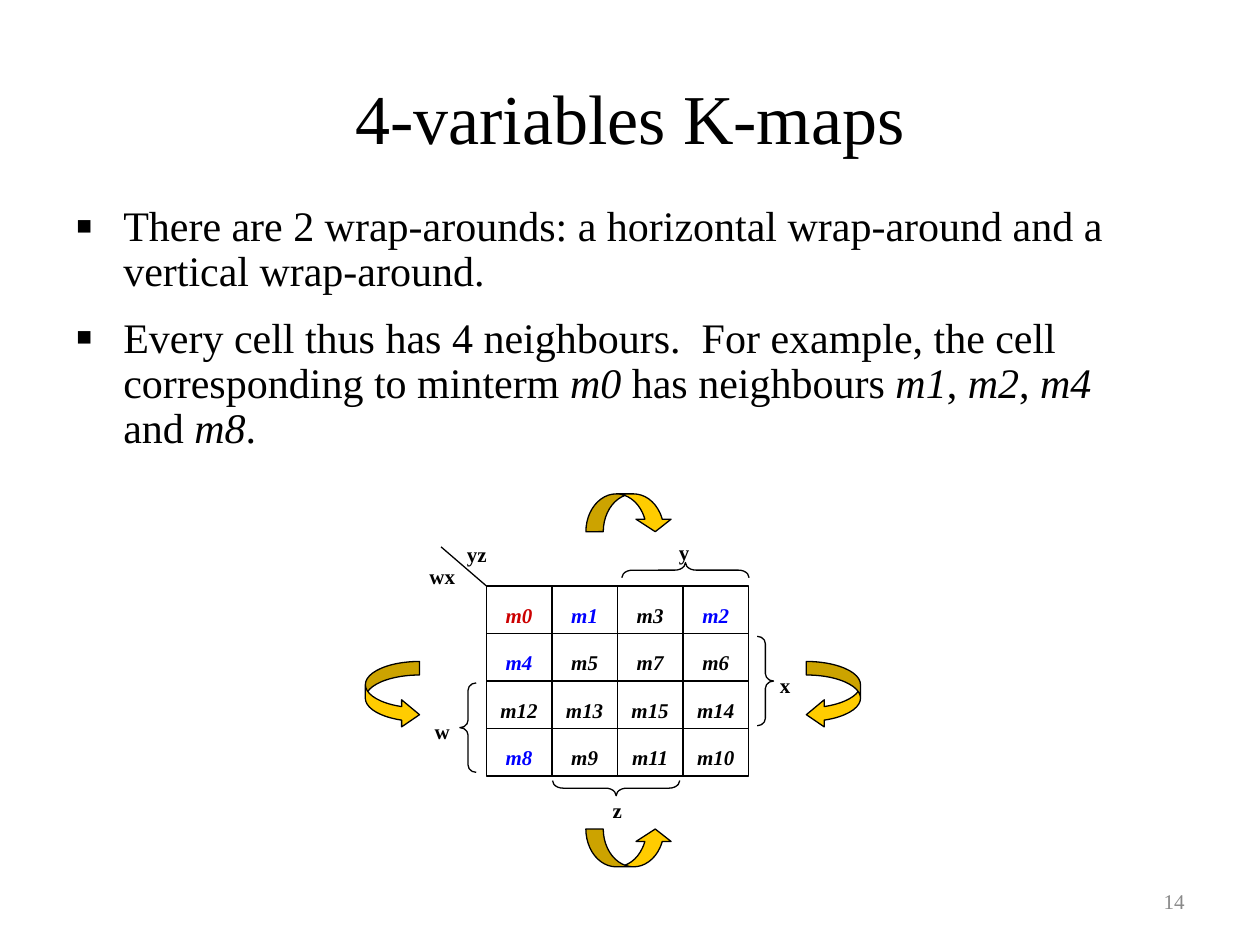
from lxml.etree import SubElement
from pptx import Presentation
from pptx.dml.color import RGBColor
from pptx.enum.shapes import MSO_CONNECTOR, MSO_SHAPE
from pptx.enum.text import MSO_ANCHOR, PP_ALIGN
from pptx.oxml.ns import qn
from pptx.util import Inches, Pt

FONT = "Times New Roman"
BLACK, RED, BLUE, GREY, GOLD = "000000", "CC0000", "0000FF", "898989", "FFCC00"

MINTERMS = [
    ["m0", "m1", "m3", "m2"],
    ["m4", "m5", "m7", "m6"],
    ["m12", "m13", "m15", "m14"],
    ["m8", "m9", "m11", "m10"],
]
COLOURS = {"m0": RED, "m1": BLUE, "m2": BLUE, "m4": BLUE, "m8": BLUE}
MAP_LEFT, MAP_TOP, MAP_WIDTH, MAP_HEIGHT = 3.86, 4.65, 2.08, 1.51

# Each bullet is a list of (text, italic) spans.
BULLETS = [
    [("There are 2 wrap-arounds: a horizontal wrap-around and a vertical wrap-around.", False)],
    [
        ("Every cell thus has 4 neighbours.  For example, the cell corresponding to minterm ", False),
        ("m0", True), (" has neighbours ", False), ("m1", True), (", ", False),
        ("m2", True), (", ", False), ("m4", True), (" and ", False),
        ("m8", True), (".", False),
    ],
]
VARIABLES = [
    ("w", 3.32, 5.65, 0.38, 0.3),
    ("x", 6.04, 5.29, 0.38, 0.3),
    ("y", 5.24, 4.23, 0.38, 0.24),
    ("z", 4.71, 6.28, 0.38, 0.23),
    ("wx", 3.19, 4.42, 0.64, 0.27),
    ("yz", 3.56, 4.25, 0.45, 0.24),
]
# Preset, left, top, width, height, rotation, curve
BRACES = [
    (MSO_SHAPE.LEFT_BRACE, 3.65, 5.42, 0.13, 0.71, 0, 0.45),
    (MSO_SHAPE.RIGHT_BRACE, 6.01, 5.05, 0.13, 0.71, 0, 0.45),
    (MSO_SHAPE.LEFT_BRACE, 5.38, 4.02, 0.12, 1.01, 90, 0.7),
    (MSO_SHAPE.LEFT_BRACE, 4.83, 5.75, 0.12, 1.01, 270, 0.7),
]
SIDE_ARROW = (0.25, 0.5, 0.33)
FLAT_ARROW = (0.46, 0.93, 0.33)
WRAP_ARROWS = [
    (MSO_SHAPE.CURVED_RIGHT_ARROW, 2.9, 5.25, 0.43, 0.53, SIDE_ARROW),
    (MSO_SHAPE.CURVED_LEFT_ARROW, 6.4, 5.25, 0.43, 0.53, SIDE_ARROW),
    (MSO_SHAPE.CURVED_UP_ARROW, 4.65, 6.58, 0.69, 0.3, FLAT_ARROW),
    (MSO_SHAPE.CURVED_DOWN_ARROW, 4.65, 3.92, 0.69, 0.3, FLAT_ARROW),
]


def colour(value):
    return RGBColor.from_string(value)


def set_font(paragraph, size, value):
    paragraph.font.name = FONT
    paragraph.font.size = Pt(size)
    paragraph.font.color.rgb = colour(value)


def add_box(shapes, left, top, width, height, anchor=MSO_ANCHOR.TOP):
    box = shapes.add_textbox(Inches(left), Inches(top), Inches(width), Inches(height))
    box.text_frame.word_wrap = True
    box.text_frame.vertical_anchor = anchor
    return box


def add_text(box, text, size=12, value=BLACK, align=PP_ALIGN.CENTER, bold=False, italic=False):
    para = box.text_frame.paragraphs[0]
    para.text = text
    para.alignment = align
    set_font(para, size, value)
    para.font.bold = bold
    para.font.italic = italic


def add_square_bullet(paragraph):
    properties = paragraph._p.get_or_add_pPr()
    properties.set("marL", str(Inches(0.38)))
    properties.set("indent", str(-Inches(0.38)))
    bullet_colour = SubElement(properties, qn("a:buClr"))
    SubElement(bullet_colour, qn("a:srgbClr"), val=BLACK)
    SubElement(properties, qn("a:buSzPct"), val="120000")
    SubElement(properties, qn("a:buFont"), typeface=FONT)
    SubElement(properties, qn("a:buChar"), char="▪")


def add_bullets(shapes):
    frame = add_box(shapes, 0.5, 1.58, 8.75, 2.26).text_frame
    for index, spans in enumerate(BULLETS):
        para = frame.add_paragraph() if index else frame.paragraphs[0]
        add_square_bullet(para)
        para.line_spacing = 0.9
        if index:
            para.space_before = Pt(12)
        set_font(para, 24, BLACK)
        for text, italic in spans:
            span = para.add_run()
            span.text = text
            span.font.italic = italic


def add_line(shapes, x1, y1, x2, y2):
    line = shapes.add_connector(
        MSO_CONNECTOR.STRAIGHT, Inches(x1), Inches(y1), Inches(x2), Inches(y2))
    line.line.color.rgb = colour(BLACK)
    line.line.width = Pt(0.75)
    SubElement(line._element.spPr, qn("a:effectLst"))


def add_outline(shapes, preset, left, top, width, height, fill=None):
    shape = shapes.add_shape(preset, Inches(left), Inches(top), Inches(width), Inches(height))
    shape.shadow.inherit = False
    if fill:
        shape.fill.solid()
        shape.fill.fore_color.rgb = colour(fill)
    else:
        shape.fill.background()
    shape.line.color.rgb = colour(BLACK)
    shape.line.width = Pt(0.75)
    return shape


def add_map(shapes):
    column, row = MAP_WIDTH / 4, MAP_HEIGHT / 4
    right, bottom = MAP_LEFT + MAP_WIDTH, MAP_TOP + MAP_HEIGHT
    add_outline(shapes, MSO_SHAPE.RECTANGLE, MAP_LEFT, MAP_TOP, MAP_WIDTH, MAP_HEIGHT)
    for step in range(1, 4):
        x, y = MAP_LEFT + step * column, MAP_TOP + step * row
        add_line(shapes, x, MAP_TOP, x, bottom)
        add_line(shapes, MAP_LEFT, y, right, y)
    for i, names in enumerate(MINTERMS):
        for j, name in enumerate(names):
            cell = add_box(shapes, MAP_LEFT + j * column, MAP_TOP + i * row + 0.08, column, 0.3)
            add_text(cell, name, value=COLOURS.get(name, BLACK), bold=True, italic=True)
    add_line(shapes, MAP_LEFT, MAP_TOP, 3.5, 4.34)


def add_variables(shapes):
    for name, *place in VARIABLES:
        add_text(add_box(shapes, *place), name, bold=True)
    for preset, left, top, width, height, rotation, curve in BRACES:
        brace = add_outline(shapes, preset, left, top, width, height)
        brace.rotation = rotation
        brace.adjustments[0] = curve


def add_wrap_arrows(shapes):
    for preset, left, top, width, height, proportions in WRAP_ARROWS:
        arrow = add_outline(shapes, preset, left, top, width, height, GOLD)
        for index, proportion in enumerate(proportions):
            arrow.adjustments[index] = proportion


def main():
    deck = Presentation()
    deck.slide_width, deck.slide_height = Inches(10), Inches(7.5)
    page = deck.slides.add_slide(deck.slide_layouts[6])
    title = add_box(page.shapes, 0.5, 0.3, 9, 1.25, MSO_ANCHOR.MIDDLE)
    add_text(title, "4-variables K-maps", 40)
    add_bullets(page.shapes)
    number = add_box(page.shapes, 7.17, 6.95, 2.33, 0.4, MSO_ANCHOR.MIDDLE)
    add_text(number, "14", value=GREY, align=PP_ALIGN.RIGHT)
    diagram = page.shapes.add_group_shape().shapes
    add_map(diagram)
    add_variables(diagram)
    add_wrap_arrows(diagram)
    deck.save("out.pptx")


if __name__ == "__main__":
    main()
